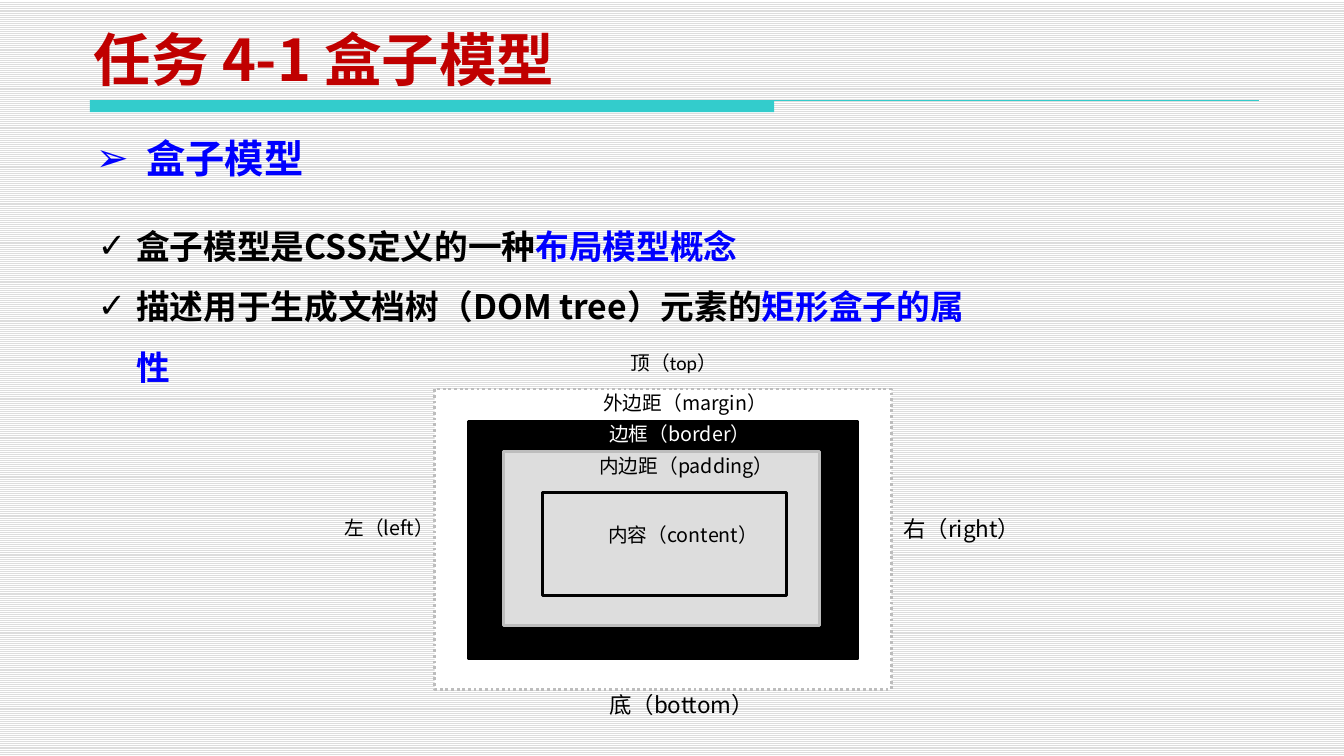
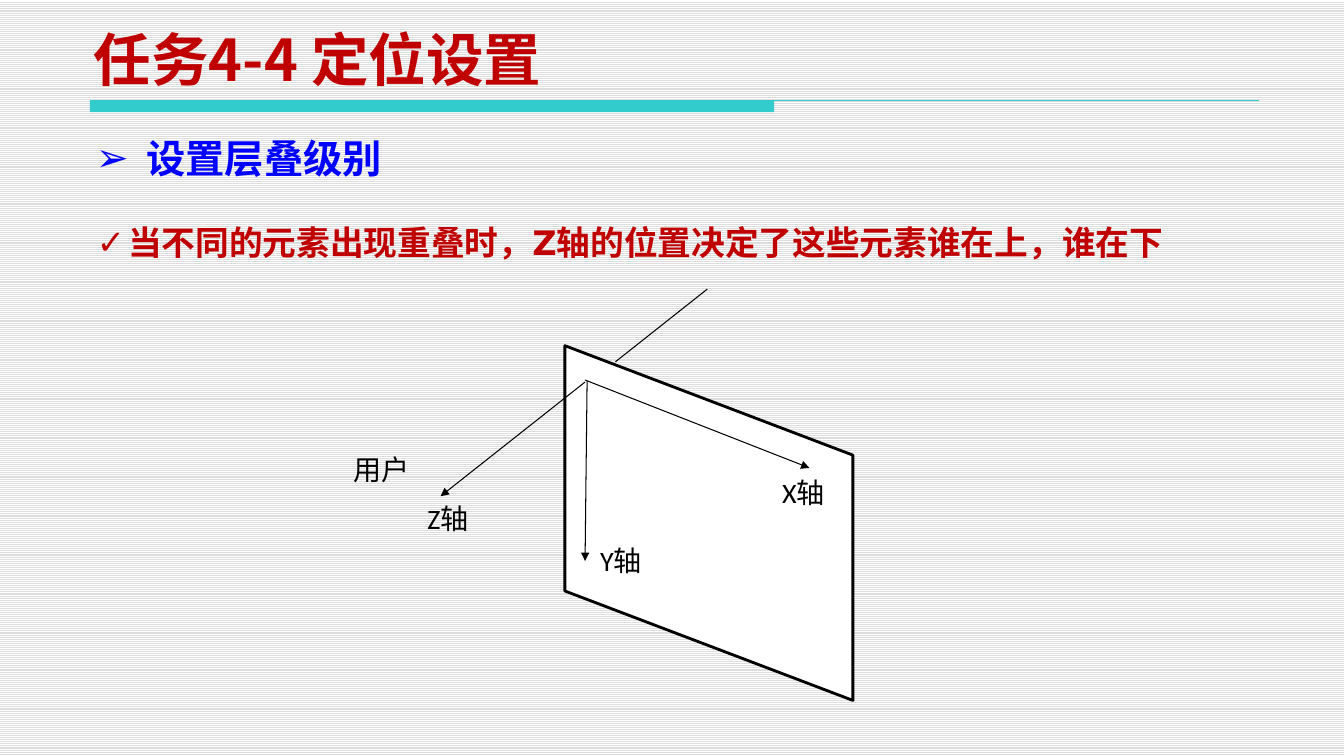
from lxml import etree
from pptx import Presentation
from pptx.dml.color import RGBColor
from pptx.enum.dml import MSO_LINE, MSO_PATTERN
from pptx.enum.shapes import MSO_CONNECTOR, MSO_SHAPE
from pptx.enum.text import MSO_ANCHOR
from pptx.oxml.ns import qn
from pptx.util import Inches, Pt

DOTTED = MSO_LINE.ROUND_DOT
STRIPES = MSO_PATTERN.LIGHT_HORIZONTAL
STRAIGHT = MSO_CONNECTOR.STRAIGHT
RECT, PARALLELOGRAM = MSO_SHAPE.RECTANGLE, MSO_SHAPE.PARALLELOGRAM
BOTTOM, TOP = MSO_ANCHOR.BOTTOM, MSO_ANCHOR.TOP

NOTO, DEJAVU, CALIBRI = "Noto Sans CJK SC", "DejaVu Sans", "Calibri"
TEAL, RED, BLUE, BLACK, WHITE = "33CCCC", "C00000", "0000FF", "000000", "FFFFFF"
PALE, GREY = "DDDDDD", "BDBDBD"
rgb = RGBColor.from_string

prs = Presentation()
prs.slide_width, prs.slide_height = Inches(13.3), Inches(7.48)


def add_text(s, box, paragraphs, size, font, bold=False, bullet=None, indent=0,
             spacing=None, anchor=TOP, inset=(0.1, 0.05)):
    tf = s.shapes.add_textbox(*map(Inches, box)).text_frame
    frame = {"word_wrap": True, "vertical_anchor": anchor,
             "margin_left": Inches(inset[0]), "margin_right": Inches(inset[0]),
             "margin_top": Inches(inset[1]), "margin_bottom": Inches(inset[1])}
    for key, value in frame.items():
        setattr(tf, key, value)
    for i, runs in enumerate(paragraphs):
        p = tf.add_paragraph() if i else tf.paragraphs[0]
        p.line_spacing = spacing
        if bullet:
            pPr = p._p.get_or_add_pPr()
            pPr.set("marL", str(Inches(indent)))
            pPr.set("indent", str(-Inches(indent)))
            etree.SubElement(pPr, qn("a:buFont")).set("typeface", DEJAVU)
            etree.SubElement(pPr, qn("a:buChar")).set("char", bullet)
        for words, color in runs:
            r = p.add_run()
            r.text = words
            for key, value in {"size": Pt(size), "name": font, "bold": bold}.items():
                setattr(r.font, key, value)
            r.font.color.rgb = rgb(color)
            etree.SubElement(r._r.get_or_add_rPr(), qn("a:ea")).set("typeface", NOTO)


def add_line(s, start, end, color, arrow=False):
    line = s.shapes.add_connector(STRAIGHT, *map(Inches, start + end))
    line.line.color.rgb = rgb(color)
    line.line.width = Pt(0.75)
    if arrow:
        etree.SubElement(line.line._get_or_add_ln(), qn("a:tailEnd")).set("type", "triangle")
    etree.SubElement(line._element.spPr, qn("a:effectLst"))


slides = []
for title, heading in [("任务 4-1 盒子模型", "盒子模型"), ("任务4-4 定位设置", "设置层叠级别")]:
    s = prs.slides.add_slide(prs.slide_layouts[6])
    fill = s.background.fill
    fill.patterned()
    fill.pattern = STRIPES
    fill.fore_color.rgb, fill.back_color.rgb = rgb(PALE), rgb(WHITE)
    band = s.shapes.add_shape(RECT, Inches(0.89), Inches(0.99), Inches(6.77), Inches(0.12))
    band.shadow.inherit = False
    band.fill.solid()
    band.fill.fore_color.rgb = rgb(TEAL)
    band.line.fill.background()
    add_line(s, (0.89, 0.99), (12.46, 0.99), TEAL)
    add_text(s, (0.83, 0.28, 8.03, 0.69), [[(title, RED)]], 41, NOTO, bold=True, anchor=BOTTOM)
    add_text(s, (0.85, 1.28, 8.5, 0.58), [[(heading, BLUE)]], 28, DEJAVU, bold=True,
             bullet="➢", indent=0.5)
    slides.append(s)
box_slide, layer_slide = slides

s = box_slide
boxes = [
    ((4.3, 3.85, 4.52, 2.97), WHITE, GREY),
    ((4.64, 4.17, 3.85, 2.35), BLACK, BLACK),
    ((4.98, 4.47, 3.13, 1.72), PALE, GREY),
    ((5.37, 4.87, 2.41, 1.02), PALE, BLACK),
]
for i, (box, color, edge) in enumerate(boxes):
    sp = s.shapes.add_shape(RECT, *map(Inches, box))
    sp.shadow.inherit = False
    sp.fill.solid()
    sp.fill.fore_color.rgb = rgb(color)
    sp.line.color.rgb = rgb(edge)
    sp.line.width = Pt(2)
    if i == 0:
        sp.line.dash_style = DOTTED

labels = [
    ("顶（top）", 6.24, 3.47, 14, CALIBRI, BLACK),
    ("左（left）", 3.41, 5.1, 14, NOTO, BLACK),
    ("底（bottom）", 6.03, 6.84, 16, NOTO, BLACK),
    ("右（right）", 8.94, 5.1, 16, NOTO, BLACK),
    ("外边距（margin）", 5.97, 3.87, 14, NOTO, BLACK),
    ("边框（border）", 6.03, 4.17, 14, NOTO, WHITE),
    ("内边距（padding）", 5.93, 4.49, 14, NOTO, BLACK),
    ("内容（content）", 6.02, 5.17, 14, NOTO, BLACK),
]
for words, x, y, size, font, color in labels:
    add_text(s, (x, y, 2.2, 0.34), [[(words, color)]], size, font, inset=(0, 0))

points = [
    [("盒子模型是CSS定义的一种", BLACK), ("布局模型概念", BLUE)],
    [("描述用于生成文档树（DOM tree）元素的", BLACK), ("矩形盒子的属性", BLUE)],
]
add_text(s, (0.87, 1.98, 9, 1.22), points, 24, NOTO, bold=True,
         bullet="✓", indent=0.38, spacing=1.5)

s = layer_slide
plane = s.shapes.add_shape(PARALLELOGRAM, Inches(5.26), Inches(3.75), Inches(3.51), Inches(2.85))
plane.shadow.inherit = False
plane.rotation = 270
plane.adjustments[0] = 0.38
plane.fill.solid()
plane.fill.fore_color.rgb = rgb(WHITE)
plane.line.color.rgb = rgb(BLACK)
plane.line.width = Pt(2)

axes = [
    ((5.79, 3.76), (8.01, 4.63), True),
    ((5.81, 3.77), (5.79, 5.55), True),
    ((5.79, 3.78), (4.36, 4.91), True),
    ((7, 2.86), (6.09, 3.58), False),
]
for start, end, arrow in axes:
    add_line(s, start, end, BLACK, arrow)

for words, x, y in [("Z轴", 4.13, 4.91), ("Y轴", 5.84, 5.33),
                    ("X轴", 7.64, 4.65), ("用户", 3.4, 4.43)]:
    add_text(s, (x, y, 0.89, 0.56), [[(words, BLACK)]], 20, CALIBRI)

add_text(s, (0.86, 2.15, 11.54, 0.5),
         [[("当不同的元素出现重叠时，Z轴的位置决定了这些元素谁在上，谁在下", RED)]],
         24, DEJAVU, bold=True, bullet="✓", indent=0.31)

prs.save("out.pptx")
